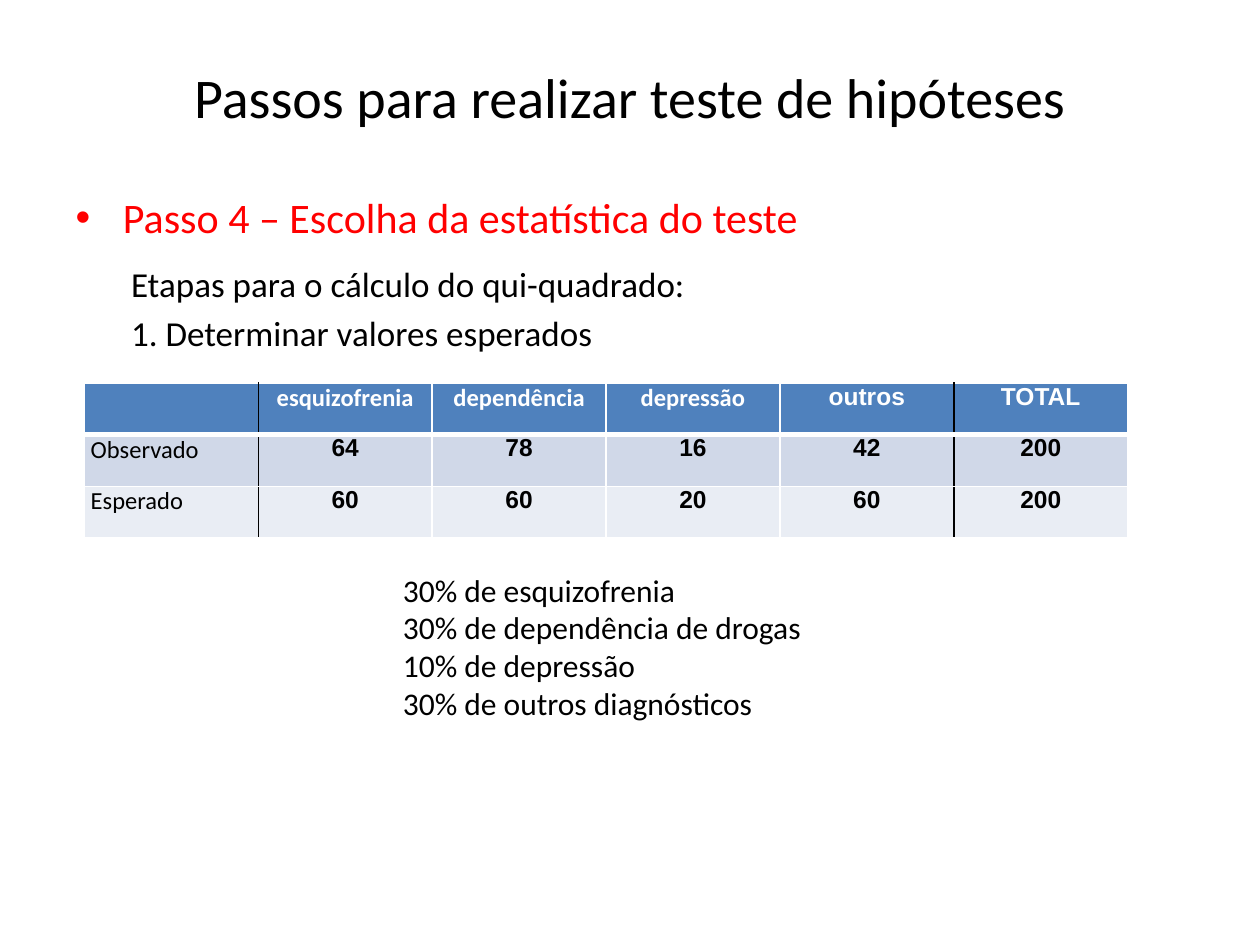
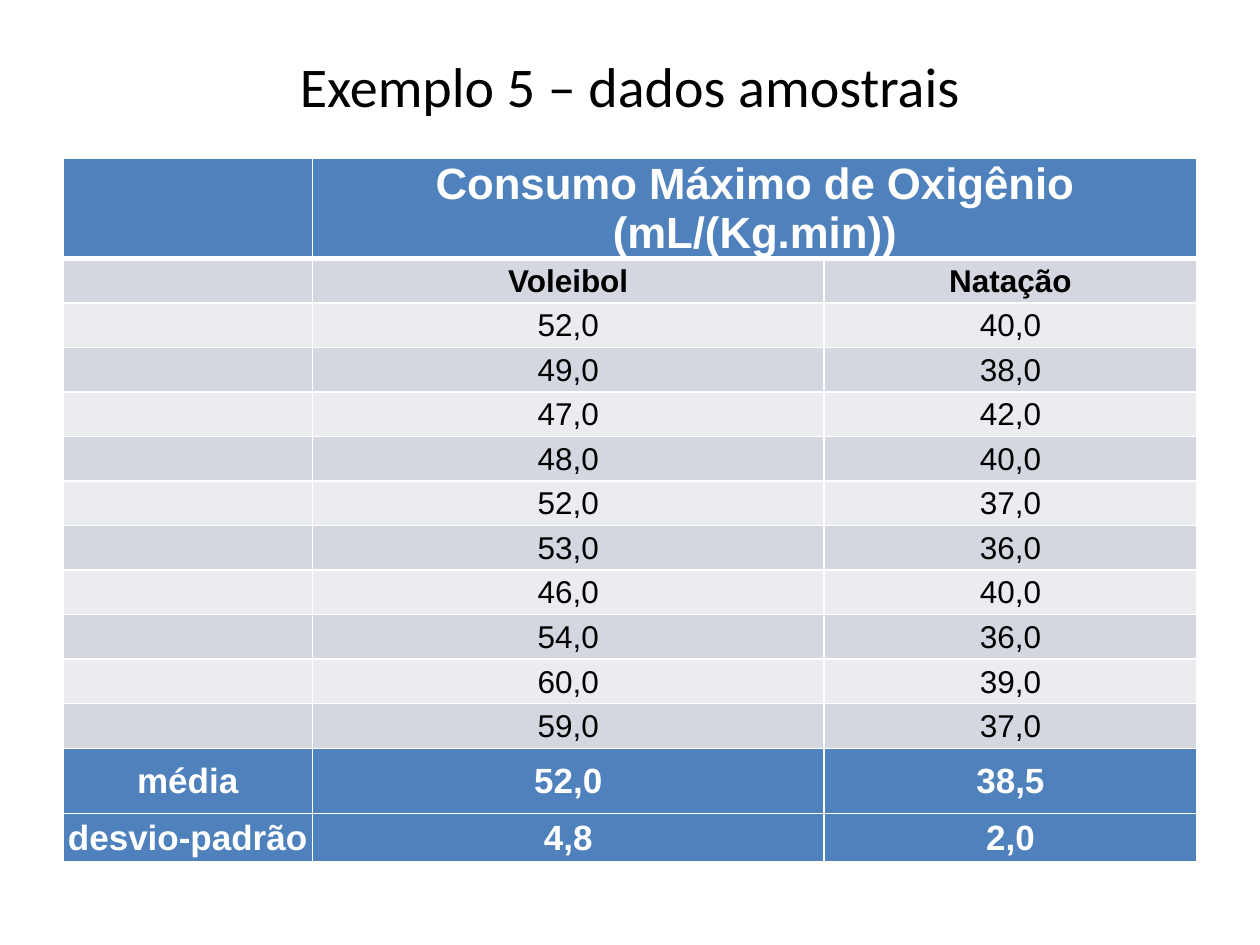
from lxml import etree
from pptx import Presentation
from pptx.dml.color import RGBColor
from pptx.enum.text import MSO_ANCHOR, PP_ALIGN
from pptx.oxml.ns import qn
from pptx.util import Inches, Pt

LEFT, CENTER = PP_ALIGN.LEFT, PP_ALIGN.CENTER
TOP, MIDDLE = MSO_ANCHOR.TOP, MSO_ANCHOR.MIDDLE

COLORS = {"black": "000000", "white": "FFFFFF", "red": "FF0000", "header": "4F81BD",
          "blue_dark": "D0D8E8", "blue_light": "E9EDF4",
          "gray_dark": "D5D7E0", "gray_light": "EBECF0"}

TITLE_FORMAT = dict(size=32, name="Calibri", color="black")

STEPS_TITLE = "Passos para realizar teste de hipóteses"
# text, size, colour, space before, bulleted
STEPS = [("Passo 4 – Escolha da estatística do teste", 24, "red", 5, True),
         ("Etapas para o cálculo do qui-quadrado:", 20, "black", 12, False),
         ("1. Determinar valores esperados", 20, "black", 4, False)]
DIAGNOSES = [["", "esquizofrenia", "dependência", "depressão", "outros", "TOTAL"],
             ["Observado", "64", "78", "16", "42", "200"],
             ["Esperado", "60", "60", "20", "60", "200"]]
DIAGNOSIS_FILLS = ["header", "blue_dark", "blue_light"]
BLACK_RULES = {1, 5}  # columns with a black line on their left
PROPORTIONS = ["30% de esquizofrenia", "30% de dependência de drogas",
               "10% de depressão", "30% de outros diagnósticos"]

SAMPLE_TITLE = "Exemplo 5 – dados amostrais"
SAMPLE_HEADING = "Consumo Máximo de Oxigênio (mL/(Kg.min))"
SPORTS = ["", "Voleibol", "Natação"]
VOLLEYBALL = ["52,0", "49,0", "47,0", "48,0", "52,0", "53,0", "46,0", "54,0", "60,0", "59,0"]
SWIMMING = ["40,0", "38,0", "42,0", "40,0", "37,0", "36,0", "40,0", "36,0", "39,0", "37,0"]
SUMMARY = [["média", "52,0", "38,5"], ["desvio-padrão", "4,8", "2,0"]]


def rgb(color):
    return RGBColor.from_string(COLORS[color])


def write(p, text, size, color, **font):
    r = p.add_run()
    r.text = text
    r.font.size = Pt(size)
    r.font.color.rgb = rgb(color)
    for key, value in font.items():
        setattr(r.font, key, value)


def place(shape, *box):
    for key, value in zip(("left", "top", "width", "height"), box):
        setattr(shape, key, Inches(value))


def indent(p, margin):
    """Indent the whole paragraph and drop its bullet."""
    pPr = p._p.get_or_add_pPr()
    pPr.set("marL", str(Inches(margin)))
    pPr.set("indent", "0")
    etree.SubElement(pPr, qn("a:buNone"))


def add_title_slide(prs, layout, title, top):
    s = prs.slides.add_slide(prs.slide_layouts[layout])
    place(s.shapes.title, 0.5, top, 9, 1.25)
    tf = s.shapes.title.text_frame
    tf.vertical_anchor = MIDDLE
    p = tf.paragraphs[0]
    p.alignment = CENTER
    write(p, title, **TITLE_FORMAT)
    return s


def add_table(s, left, top, widths, heights):
    table = s.shapes.add_table(len(heights), len(widths), Inches(left), Inches(top),
                               Inches(sum(widths)), Inches(sum(heights))).table
    for column, width in zip(table.columns, widths):
        column.width = Inches(width)
    for row, height in zip(table.rows, heights):
        row.height = Inches(height)
    return table


def set_borders(cell, **borders):
    """Draw the sides L, R, T and B, each given as (colour, points)."""
    tcPr = cell._tc.get_or_add_tcPr()
    for side in "LRTB":
        color, width = borders.get(side, ("white", 1))
        ln = etree.SubElement(tcPr, qn("a:ln" + side), w=str(Pt(width)))
        fill = etree.SubElement(ln, qn("a:solidFill"))
        etree.SubElement(fill, qn("a:srgbClr"), val=COLORS[color])


def fill_cell(cell, text, fill, borders, margins, font, align=CENTER, anchor=TOP):
    set_borders(cell, **borders)
    cell.fill.solid()
    cell.fill.fore_color.rgb = rgb(fill)
    cell.vertical_anchor = anchor
    for side, margin in zip(("left", "top", "right", "bottom"), margins):
        setattr(cell, "margin_" + side, Inches(margin))
    p = cell.text_frame.paragraphs[0]
    p.alignment = align
    if text:
        write(p, text, **font)


def header_borders(row):
    """The thick line under the first row."""
    return {0: {"B": ("white", 3)}, 1: {"T": ("white", 3)}}.get(row, {})


def build_steps(prs):
    s = add_title_slide(prs, 1, STEPS_TITLE, 0.14)
    body = s.placeholders[1]
    place(body, 0.5, 1.47, 9, 4.95)
    tf = body.text_frame
    for i, (text, size, color, before, bulleted) in enumerate(STEPS):
        p = tf.add_paragraph() if i else tf.paragraphs[0]
        p.space_before = Pt(before)
        if not bulleted:
            indent(p, 0.44)
        write(p, text, size, color, name="Calibri")

    table = add_table(s, 0.67, 3.04, [1.38] * 6, [0.41] * 3)
    for i, row in enumerate(DIAGNOSES):
        for j, text in enumerate(row):
            borders = header_borders(i)
            if j in BLACK_RULES:
                borders["L"] = ("black", 1)
            if j + 1 in BLACK_RULES:
                borders["R"] = ("black", 1)
            calibri = j == 0 or (i == 0 and j < 4)
            font = dict(size=14, color="black" if i else "white", bold=i == 0 or j > 0,
                        name="Calibri" if calibri else "Arial")
            fill_cell(table.cell(i, j), text, DIAGNOSIS_FILLS[i], borders,
                      (0.05, 0, 0.05, 0), font, CENTER if j else LEFT)

    box = s.shapes.add_textbox(Inches(2.6), Inches(4.48), Inches(5), Inches(1.31))
    tf = box.text_frame
    tf.word_wrap = True
    for i, text in enumerate(PROPORTIONS):
        p = tf.add_paragraph() if i else tf.paragraphs[0]
        indent(p, 0.5)
        write(p, text, 18, "black", name="Calibri")


def build_sample(prs):
    s = add_title_slide(prs, 5, SAMPLE_TITLE, 0.05)
    values = [["", *pair] for pair in zip(VOLLEYBALL, SWIMMING)]
    rows = [["", SAMPLE_HEADING, ""], SPORTS, *values, *SUMMARY]
    summary_start = len(rows) - len(SUMMARY)
    band = 3.89 / (len(values) + 1)
    heights = [0.79] + [band] * (len(values) + 1) + [0.52, 0.38]
    table = add_table(s, 0.5, 1.26, [1.98, 4.06, 2.96], heights)
    table.cell(0, 1).merge(table.cell(0, 2))
    for i, row in enumerate(rows):
        if i == 0:
            fill, size, color = "header", 25, "white"
        elif i >= summary_start:
            fill, size, color = "header", 20, "white"
        else:
            fill, size, color = "gray_dark" if i % 2 else "gray_light", 18, "black"
        font = dict(size=size, color=color, name="Arial",
                    bold=i < 2 or i >= summary_start)
        for j, text in enumerate(row):
            fill_cell(table.cell(i, j), text, fill, header_borders(i),
                      (0.01, 0.01, 0.01, 0), font, anchor=MIDDLE)


def main():
    prs = Presentation()
    prs.slide_width, prs.slide_height = Inches(10), Inches(7.5)
    build_steps(prs)
    build_sample(prs)
    prs.save("out.pptx")


if __name__ == "__main__":
    main()
